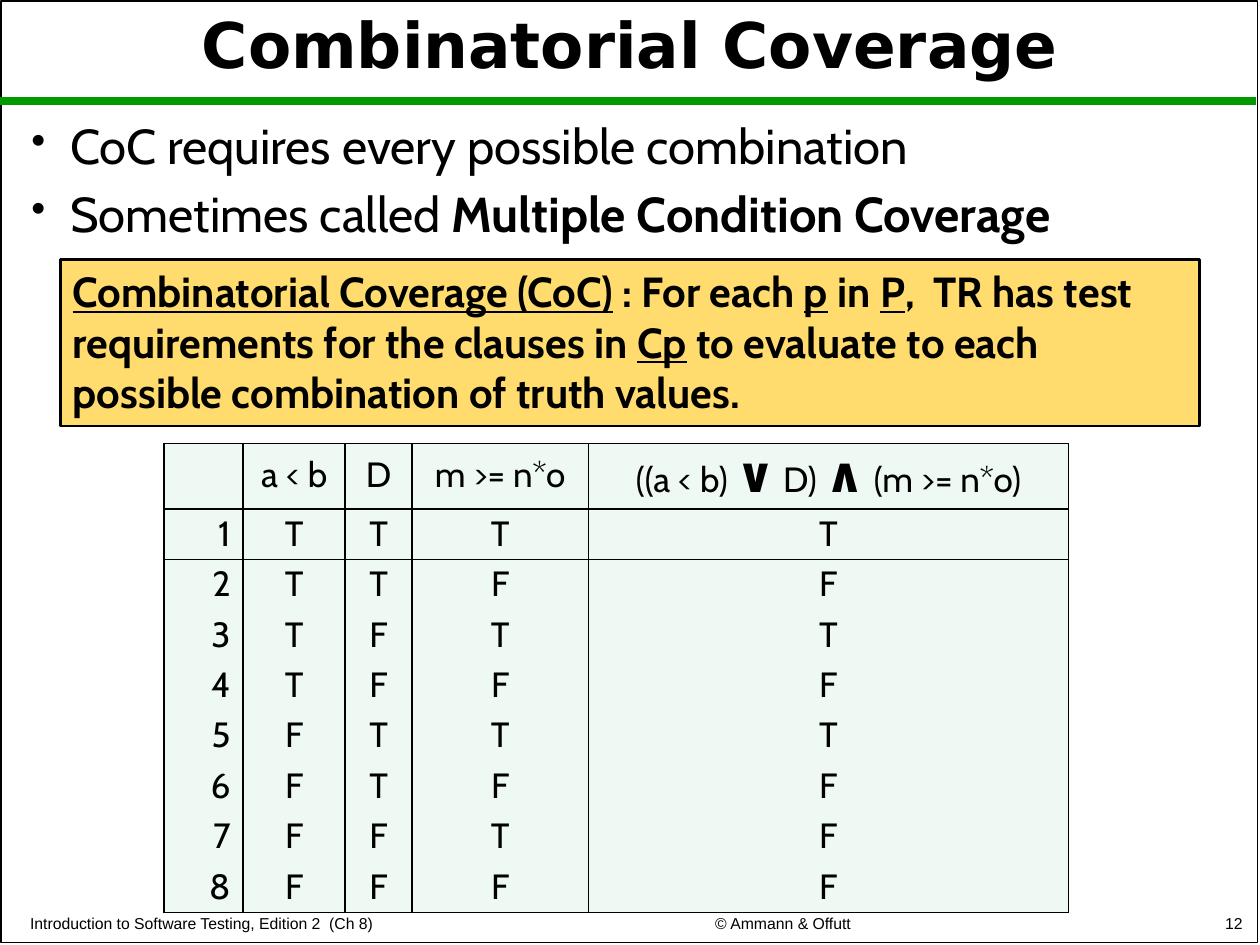
from itertools import product
from typing import NamedTuple

from lxml import etree
from pptx import Presentation
from pptx import util as u
from pptx.dml.color import RGBColor
from pptx.enum import shapes, text
from pptx.oxml import ns

INK = RGBColor(0x00, 0x00, 0x00)
GREEN = RGBColor(0x00, 0x99, 0x00)
GOLD = RGBColor(0xFF, 0xDC, 0x6D)
MINT = RGBColor(0xEE, 0xF9, 0xF4)
UNIT = u.Inches(0.1)
PLAIN = "{2D5ABB26-0587-4C30-8999-92F81FD0307C}"
LEFT, MID, RIGHT = text.PP_ALIGN.LEFT, text.PP_ALIGN.CENTER, text.PP_ALIGN.RIGHT
TOP, CORE, BASE = text.MSO_ANCHOR.TOP, text.MSO_ANCHOR.MIDDLE, text.MSO_ANCHOR.BOTTOM


class Run(NamedTuple):
    words: str
    bold: bool | None = None
    line: bool | None = None
    size: float | None = None


class Style(NamedTuple):
    face: str
    size: float
    bold: bool = False
    align: text.PP_ALIGN = LEFT
    lead: float | None = None
    gap: float | None = None
    dot: bool = False


class Box(NamedTuple):
    col: float
    row: float
    wide: float
    high: float
    anchor: text.MSO_ANCHOR
    style: Style
    paras: list[list[Run]]


def grid(*spots: float) -> list[int]:
    return [round(spot * UNIT) for spot in spots]


def mark(para) -> None:
    props = para._p.get_or_add_pPr()
    indent = u.Inches(0.31)
    props.set("marL", str(indent))
    props.set("indent", str(-indent))
    size = etree.Element(ns.qn("a:buSzPct"), val="85000")
    sign = etree.Element(ns.qn("a:buChar"), char="•")
    spot = props.index(props.find(ns.qn("a:defRPr")))
    props[spot:spot] = [size, sign]


def write(frame, style: Style, paras: list[list[Run]]) -> None:
    for rank, runs in enumerate(paras):
        para = frame.add_paragraph() if rank else frame.paragraphs[0]
        para.alignment = style.align
        if style.lead:
            para.line_spacing = style.lead
        if style.gap and rank:
            para.space_before = u.Pt(style.gap)
        font = para.font
        font.name, font.size, font.bold = style.face, u.Pt(style.size), style.bold
        font.color.rgb = INK
        if style.dot:
            mark(para)
        for run in runs:
            part = para.add_run()
            part.text = run.words
            if run.bold is not None:
                part.font.bold = run.bold
            if run.line is not None:
                part.font.underline = run.line
            if run.size:
                part.font.size = u.Pt(run.size)


def fill_box(shape, box: Box) -> None:
    frame = shape.text_frame
    frame.word_wrap = True
    frame.vertical_anchor = box.anchor
    write(frame, box.style, box.paras)


def add_text(slide, box: Box) -> None:
    fill_box(slide.shapes.add_textbox(*grid(*box[:4])), box)


def add_rect(slide, spots: tuple, width: float, paint: RGBColor | None = None):
    rect = slide.shapes.add_shape(shapes.MSO_SHAPE.RECTANGLE, *grid(*spots))
    rect.shadow.inherit = False
    if paint is None:
        rect.fill.background()
    else:
        rect.fill.solid()
        rect.fill.fore_color.rgb = paint
    rect.line.color.rgb = INK
    rect.line.width = u.Pt(width)
    return rect


def add_rule(slide, row: float, end: float) -> None:
    rule = slide.shapes.add_connector(
        shapes.MSO_CONNECTOR.STRAIGHT, *grid(0, row, end, row))
    rule.line.color.rgb = GREEN
    rule.line.width = u.Pt(4.5)
    etree.SubElement(rule._element.spPr, ns.qn("a:effectLst"))


def edge(cell, sides: str) -> None:
    props = cell._tc.get_or_add_tcPr()
    for side in sides:
        line = etree.SubElement(props, ns.qn(f"a:ln{side}"), w=str(u.Pt(1)))
        paint = etree.SubElement(line, ns.qn("a:solidFill"))
        etree.SubElement(paint, ns.qn("a:srgbClr"), val=str(INK))


def add_truth(slide) -> None:
    cols = [6.3, 8.1, 5.3, 14, 38.1]
    rows = [5.2] + [4] * 8
    head = [[], [Run("a < b")], [Run("D")], [Run("m >= n*o")],
            [Run("((a < b) "), Run("∨", True, size=28), Run(" D) "),
             Run("∧", True, size=28), Run(" ", size=24), Run("(m >= n*o)")]]
    body = []
    for rank, (a, d, m) in enumerate(product([True, False], repeat=3), 1):
        facts = ["T" if fact else "F" for fact in (a, d, m, (a or d) and m)]
        body.append([[Run(word)] for word in (str(rank), *facts)])
    table = slide.shapes.add_table(
        len(rows), len(cols), *grid(13, 35.2, sum(cols), sum(rows))).table
    table.first_row = table.horz_banding = False
    table._tbl.tblPr.find(ns.qn("a:tableStyleId")).text = PLAIN
    for col, wide in zip(table.columns, grid(*cols)):
        col.width = wide
    for row, high in zip(table.rows, grid(*rows)):
        row.height = high
    sides = {0: "LRTB", 1: "LRT", len(body): "LRB"}
    for r, line in enumerate([head, *body]):
        for c, runs in enumerate(line):
            cell = table.cell(r, c)
            edge(cell, sides.get(r, "LR"))
            cell.fill.solid()
            cell.fill.fore_color.rgb = MINT
            cell.vertical_anchor = TOP if r else CORE
            align = RIGHT if r and not c else MID
            write(cell.text_frame, Style("Cabin", 20, align=align, lead=0.9), [runs])


def main() -> None:
    deck = Presentation()
    deck.slide_width, deck.slide_height = grid(100, 75)
    slide = deck.slides.add_slide(deck.slide_layouts[6])

    add_rect(slide, (0.1, 0.1, 99.7, 74.7), 1)
    add_rule(slide, 8, 99.7)

    foot = Style("Arial", 9)
    title = Style("DejaVu Sans", 36, True, MID, 0.9)
    points = Style("Cabin", 28, lead=0.9, gap=8.4, dot=True)
    for box in (
        Box(1.4, 71.2, 43.5, 3.3, BASE, foot,
            [[Run("Introduction to Software Testing, Edition 2  (Ch 8)")]]),
        Box(46.3, 71.1, 31.7, 3.4, BASE, foot._replace(align=MID),
            [[Run("© Ammann & Offutt")]]),
        Box(78.8, 71, 20.8, 3.5, BASE, foot._replace(align=RIGHT), [[Run("12")]]),
        Box(0, 0.5, 100, 6.6, CORE, title, [[Run("Combinatorial Coverage")]]),
        Box(1.5, 9.2, 93.1, 10, TOP, points,
            [[Run("CoC requires every possible combination")],
             [Run("Sometimes called "), Run("Multiple Condition Coverage", True)]]),
    ):
        add_text(slide, box)

    rule = Box(4.8, 20.6, 90.4, 13.2, TOP, Style("Cabin", 24, True), [[
        Run("Combinatorial Coverage (CoC)", line=True), Run(" : For each "),
        Run("p", line=True), Run(" in "), Run("P", line=True),
        Run(",  TR has test requirements for the clauses in "),
        Run("Cp", line=True),
        Run(" to evaluate to each possible combination of truth values.")]])
    fill_box(add_rect(slide, rule[:4], 1.5, GOLD), rule)

    add_truth(slide)
    deck.save("out.pptx")


if __name__ == "__main__":
    main()
